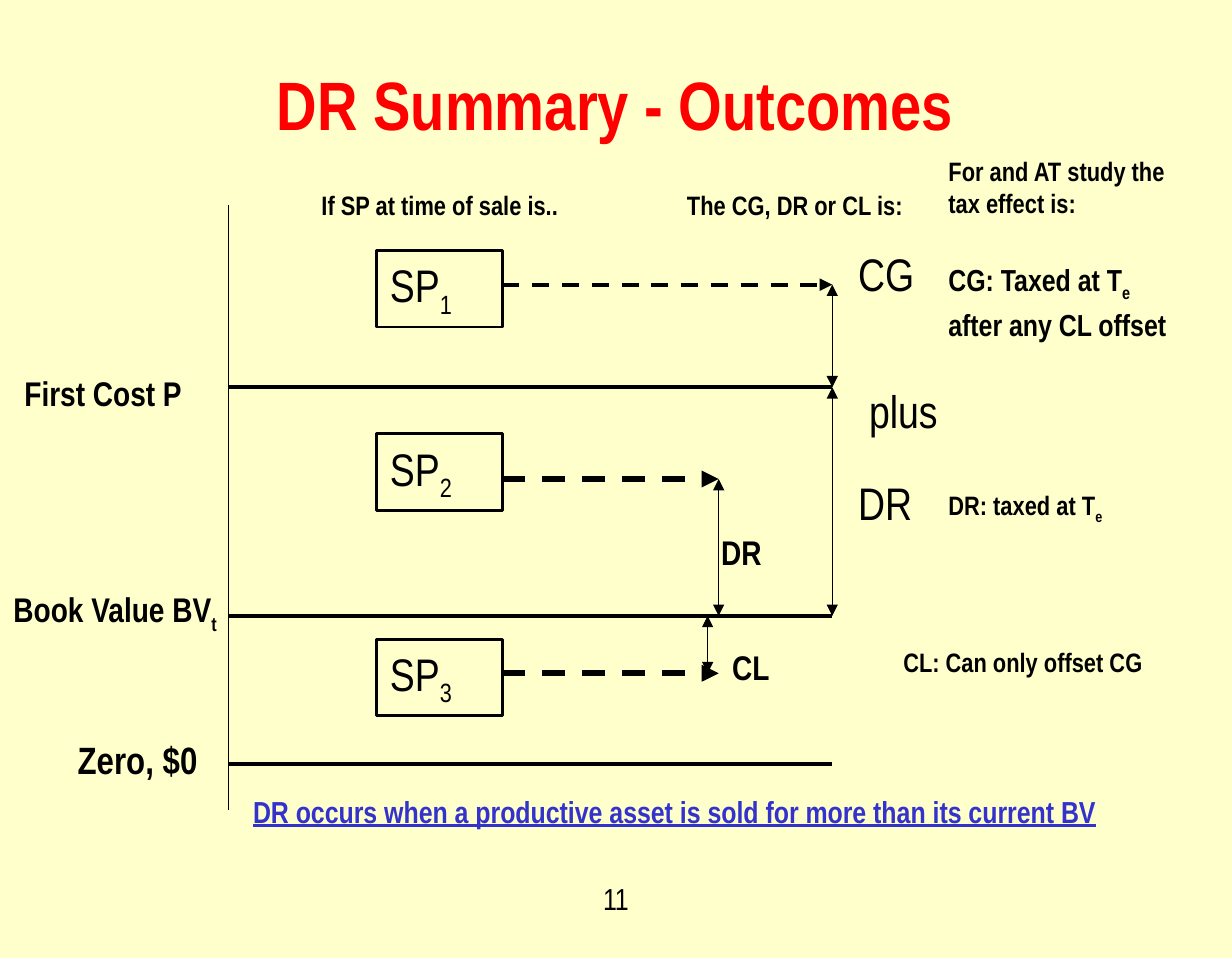
from dataclasses import dataclass

from lxml.etree import SubElement
from pptx import Presentation
from pptx.dml.color import RGBColor
from pptx.enum.dml import MSO_LINE
from pptx.enum.shapes import MSO_CONNECTOR, MSO_SHAPE
from pptx.enum.text import MSO_ANCHOR, MSO_AUTO_SIZE, PP_ALIGN
from pptx.oxml.ns import qn
from pptx.util import Inches, Pt


@dataclass(frozen=True)
class Theme:
    font: str = "Arial Narrow"
    background: RGBColor = RGBColor(0xFF, 0xFF, 0xCC)
    ink: RGBColor = RGBColor(0x00, 0x00, 0x00)
    title_color: RGBColor = RGBColor(0xFF, 0x00, 0x00)
    note_color: RGBColor = RGBColor(0x33, 0x33, 0xCC)
    title: int = 36
    symbol: int = 24
    zero: int = 20
    level: int = 18
    note: int = 16
    caption: int = 14
    thin: float = 0.75
    frame: float = 1.5
    thick: float = 2.25
    heavy: float = 3


@dataclass(frozen=True)
class Box:
    left: float
    top: float
    width: float
    height: float

    def inner(self, left, top, width, height):
        """Give a box placed relative to this one."""
        return Box(self.left + left, self.top + top, width, height)

    def lengths(self):
        return [Inches(v) for v in (self.left, self.top, self.width, self.height)]


THEME = Theme()

# Heights inside the diagram, measured from the top of its axis
FIRST_COST, BOOK_VALUE, ZERO = 1.33, 3.0, 4.08


def write(shape, pieces, size, bold=True, color=THEME.ink, align=PP_ALIGN.LEFT,
          spacing=None, underline=None, anchor=MSO_ANCHOR.TOP, grow=True):
    """Fill a shape with one paragraph; every second piece is a subscript."""
    frame = shape.text_frame
    frame.word_wrap = True
    frame.vertical_anchor = anchor
    frame.auto_size = MSO_AUTO_SIZE.SHAPE_TO_FIT_TEXT if grow else MSO_AUTO_SIZE.NONE
    paragraph = frame.paragraphs[0]
    paragraph.alignment = align
    paragraph.line_spacing = spacing
    font = paragraph.font
    font.name, font.size, font.bold = THEME.font, Pt(size), bold
    font.underline = underline
    font.color.rgb = color
    for index, piece in enumerate(pieces):
        run = paragraph.add_run()
        run.text = piece
        if index % 2:
            run.font._element.set("baseline", "-25000")


def add_text(slide, box, pieces, size, **style):
    write(slide.shapes.add_textbox(*box.lengths()), pieces, size, **style)


def add_line(slide, start, end, width, ends=(), dashed=False):
    """Draw a straight line with triangles at the named ends."""
    points = [Inches(value) for value in (*start, *end)]
    connector = slide.shapes.add_connector(MSO_CONNECTOR.STRAIGHT, *points)
    connector.line.color.rgb = THEME.ink
    connector.line.width = Pt(width)
    if dashed:
        connector.line.dash_style = MSO_LINE.DASH
    for end_name in ends:
        SubElement(connector.line._get_or_add_ln(), qn(f"a:{end_name}"), type="triangle")
    SubElement(connector._element.spPr, qn("a:effectLst"))


def draw_title(slide, box):
    add_text(slide, box, ["DR Summary - Outcomes"], THEME.title,
             color=THEME.title_color, align=PP_ALIGN.CENTER,
             anchor=MSO_ANCHOR.MIDDLE, grow=False)


def draw_levels(slide, box):
    """Draw the axis and the three value levels."""
    add_line(slide, (box.left, box.top), (box.left, box.top + box.height), THEME.thin)
    for level in (FIRST_COST, BOOK_VALUE, ZERO):
        y = box.top + level
        add_line(slide, (box.left, y), (box.left + box.width, y), THEME.thick)


def draw_level_labels(slide, box):
    add_text(slide, box.inner(0.08, FIRST_COST - 0.16, 1.58, 0.4),
             ["First Cost P"], THEME.level)
    add_text(slide, box.inner(0, BOOK_VALUE - 0.25, 2, 0.44),
             ["Book Value BV", "t"], THEME.level)
    add_text(slide, box.inner(0.17, ZERO - 0.25, 1.67, 0.44),
             ["Zero, $0"], THEME.zero, align=PP_ALIGN.CENTER)


def draw_sale_prices(slide, box):
    """Draw the SP boxes, each with its dashed arrow."""
    add_text(slide, box.inner(0.58, -0.17, 2.25, 0.34),
             ["If SP at time of sale is.."], THEME.caption)
    cases = [  # box top, arrow height, arrow end, arrow weight
        (0.33, 0.58, box.width, THEME.thick),
        (1.67, 2.0, 3.58, THEME.heavy),
        (3.17, 3.42, 3.58, THEME.heavy),
    ]
    for number, (top, arrow, end, weight) in enumerate(cases, 1):
        price = box.inner(1.08, top, 0.92, 0.56)
        shape = slide.shapes.add_shape(MSO_SHAPE.RECTANGLE, *price.lengths())
        shape.shadow.inherit = False
        shape.fill.background()
        shape.line.color.rgb = THEME.ink
        shape.line.width = Pt(THEME.frame)
        write(shape, ["SP", str(number)], THEME.symbol, bold=False)
        y = box.top + arrow
        add_line(slide, (price.left + price.width, y), (box.left + end, y),
                 weight, ["tailEnd"], dashed=True)


def draw_outcomes(slide, box):
    """Draw the double arrows and the names of what they measure."""
    add_text(slide, box.inner(3.25, -0.17, 2.08, 0.34),
             ["The CG, DR or CL is:"], THEME.caption)
    spans = [  # x, upper end, lower end
        (box.width, 0.58, FIRST_COST),
        (box.width, FIRST_COST, BOOK_VALUE),
        (3.58, 2.0, BOOK_VALUE),
        (3.5, BOOK_VALUE, 3.42),
    ]
    for x, upper, lower in spans:
        add_line(slide, (box.left + x, box.top + upper),
                 (box.left + x, box.top + lower), THEME.thin, ["headEnd", "tailEnd"])
    for name, left, top in (("CG", 4.5, 0.25), ("plus", 4.58, 1.25), ("DR", 4.5, 1.92)):
        add_text(slide, box.inner(left, top, 0.75, 0.5), [name], THEME.symbol, bold=False)
    for name, left, top, width in (("DR", 3.5, 2.33, 0.75), ("CL", 3.58, 3.17, 0.5)):
        add_text(slide, box.inner(left, top, width, 0.4), [name], THEME.level)


def draw_tax_effects(slide, box):
    add_text(slide, box.inner(0.33, 0, 1.92, 0.57),
             ["For and AT study the tax effect is:"], THEME.caption)
    add_text(slide, box.inner(0.33, 0.75, 1.92, 0.73),
             ["CG: Taxed at T", "e", " after any CL offset"], THEME.note, spacing=1.1)
    add_text(slide, box.inner(0.33, 2.42, 1.83, 0.39),
             ["DR: taxed at T", "e"], THEME.caption, spacing=1.1)
    add_text(slide, box.inner(0, 3.59, 2.08, 0.34),
             ["CL: Can only offset CG"], THEME.caption)


def draw_footer(slide, box):
    """Draw the closing statement and the page number."""
    add_text(slide, box.inner(0, 0, box.width, 0.37),
             ["DR occurs when a productive asset is sold for more than its current BV"],
             THEME.note, color=THEME.note_color, underline=True)
    add_text(slide, box.inner(2.15, 0.63, 1.2, 0.47), ["11"], THEME.note,
             bold=False, align=PP_ALIGN.CENTER, grow=False)


def main():
    presentation = Presentation()
    presentation.slide_width, presentation.slide_height = Inches(9), Inches(7)
    slide = presentation.slides.add_slide(presentation.slide_layouts[6])
    slide.background.fill.solid()
    slide.background.fill.fore_color.rgb = THEME.background

    diagram = Box(1.67, 1.5, 4.41, 4.42)
    draw_title(slide, Box(0.67, 0.17, 7.65, 1.17))
    draw_levels(slide, diagram)
    draw_level_labels(slide, Box(0, diagram.top, diagram.left, diagram.height))
    draw_sale_prices(slide, diagram)
    draw_outcomes(slide, diagram)
    draw_tax_effects(slide, Box(6.5, 1.08, 2.25, 3.93))
    draw_footer(slide, Box(1.75, 5.75, 6.58, 1.1))
    presentation.save("out.pptx")


if __name__ == "__main__":
    main()
